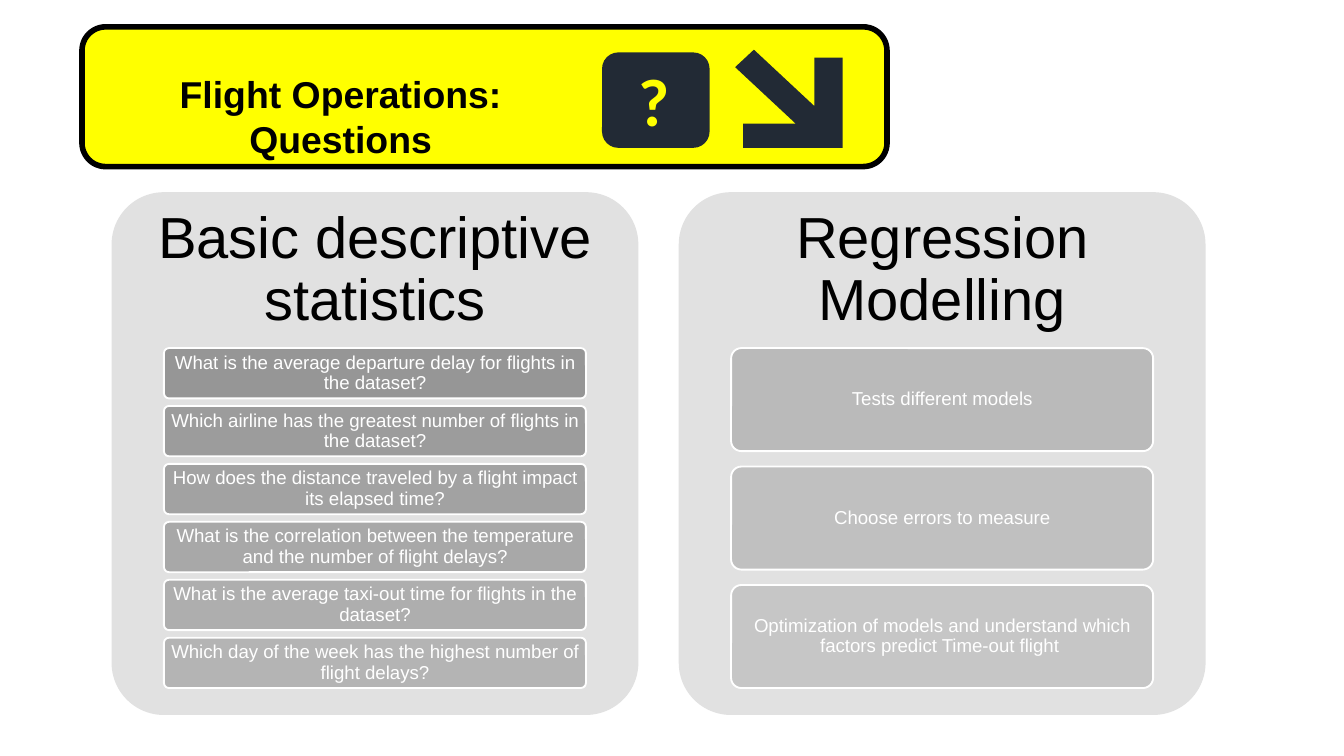
from dataclasses import dataclass

import pptx
import pptx.dml.color
import pptx.enum.shapes
import pptx.enum.text
import pptx.util
from pptx.util import Inches

COLORS = {
    "banner": "FFFF00",
    "ink": "000000",
    "icon": "222A35",
    "panel": "E1E1E1",
    "white": "FFFFFF",
}
FIRST_CARD_GRAY = 0x96
CARD_GRAY_STEP = 6

PANEL_TOP, PANEL_WIDTH, PANEL_HEIGHT = 1.43, 3.92, 3.89
HEADING_HEIGHT = 1.17
CARD_INDENT, CARD_WIDTH = 0.39, 3.14
CARDS_TOP, CARDS_HEIGHT = 2.59, 2.53
GAP_RATIO = 0.15  # gap between cards, as a share of the card height

ARROW_POINTS = [
    (5.61, 0.37), (5.47, 0.5), (5.92, 0.92), (5.53, 0.92), (5.53, 1.1),
    (6.27, 1.1), (6.27, 0.43), (6.06, 0.43), (6.06, 0.79),
]


@dataclass
class Box:
    left: float
    top: float
    width: float
    height: float

    def lengths(self):
        return [Inches(v) for v in (self.left, self.top, self.width, self.height)]


@dataclass
class Panel:
    left: float
    heading: str
    cards: list[str]


PANELS = [
    Panel(0.83, "Basic descriptive statistics", [
        "What is the average departure delay for flights in the dataset?",
        "Which airline has the greatest number of flights in the dataset?",
        "How does the distance traveled by a flight impact its elapsed time?",
        "What is the correlation between the temperature and the number of flight delays?",
        "What is the average taxi-out time for flights in the dataset?",
        "Which day of the week has the highest number of flight delays?",
    ]),
    Panel(5.05, "Regression Modelling", [
        "Tests different models",
        "Choose errors to measure",
        "Optimization of models and understand which factors predict Time-out flight ",
    ]),
]


def rgb(color: str) -> pptx.dml.color.RGBColor:
    return pptx.dml.color.RGBColor.from_string(color)


def paint(shape, fill: str, line: str | None = None, line_width: float = 1) -> None:
    shape.shadow.inherit = False
    shape.fill.solid()
    shape.fill.fore_color.rgb = rgb(fill)
    if line is None:
        shape.line.fill.background()
    else:
        shape.line.color.rgb = rgb(line)
        shape.line.width = pptx.util.Pt(line_width)


def add_round_box(slide, box: Box, fill: str, line: str | None = None,
                  line_width: float = 1, corner: float = 0.1):
    shape = slide.shapes.add_shape(
        pptx.enum.shapes.MSO_SHAPE.ROUNDED_RECTANGLE, *box.lengths())
    shape.adjustments[0] = corner
    paint(shape, fill, line, line_width)
    return shape


def write(shape, text: str, size: float, color: str, *, font: str = "Arial",
          bold: bool = False, spacing: float = 1.0,
          insets: tuple[float, float] = (0.1, 0.05),
          anchor=pptx.enum.text.MSO_ANCHOR.MIDDLE,
          alignment=pptx.enum.text.PP_ALIGN.CENTER) -> None:
    """Fill a shape with one paragraph; insets are (sides, top and bottom)."""
    frame = shape.text_frame
    frame.text = text
    frame.word_wrap = True
    frame.auto_size = pptx.enum.text.MSO_AUTO_SIZE.NONE
    frame.vertical_anchor = anchor
    frame.margin_left = frame.margin_right = Inches(insets[0])
    frame.margin_top = frame.margin_bottom = Inches(insets[1])
    paragraph = frame.paragraphs[0]
    paragraph.alignment = alignment
    paragraph.line_spacing = spacing
    paragraph.space_before = pptx.util.Pt(0)
    run_font = paragraph.runs[0].font
    run_font.name, run_font.size, run_font.bold = font, pptx.util.Pt(size), bold
    run_font.color.rgb = rgb(color)


def add_panel(slide, panel: Panel, first_gray: int) -> None:
    add_round_box(slide, Box(panel.left, PANEL_TOP, PANEL_WIDTH, PANEL_HEIGHT),
                  COLORS["panel"])
    heading_box = Box(panel.left, PANEL_TOP, PANEL_WIDTH, HEADING_HEIGHT)
    heading = slide.shapes.add_textbox(*heading_box.lengths())
    write(heading, panel.heading, 31, COLORS["ink"], spacing=0.9, insets=(0.13, 0.13))

    count = len(panel.cards)
    height = CARDS_HEIGHT / (count + (count - 1) * GAP_RATIO)
    for index, card_text in enumerate(panel.cards):
        top = CARDS_TOP + index * height * (1 + GAP_RATIO)
        gray = f"{first_gray + index * CARD_GRAY_STEP:02X}" * 3
        card = add_round_box(
            slide, Box(panel.left + CARD_INDENT, top, CARD_WIDTH, height),
            gray, COLORS["white"])
        write(card, card_text, 10, COLORS["white"], spacing=0.9, insets=(0.03, 0.02))


def add_arrow(slide) -> None:
    start, *rest = [(Inches(x), Inches(y)) for x, y in ARROW_POINTS]
    builder = slide.shapes.build_freeform(*start)
    builder.add_line_segments(rest, close=True)
    paint(builder.convert_to_shape(), COLORS["icon"])


def add_banner(slide) -> None:
    add_round_box(slide, Box(0.61, 0.2, 5.99, 1.04), COLORS["banner"],
                  COLORS["ink"], 3, corner=0.17)
    add_arrow(slide)
    title = slide.shapes.title
    title.left, title.top, title.width, title.height = Box(0.54, 0.48, 3.99, 0.44).lengths()
    write(title, "Flight Operations: Questions", 20, COLORS["ink"], bold=True,
          anchor=pptx.enum.text.MSO_ANCHOR.TOP)
    # The placeholder comes first in the tree; bring it in front of the banner.
    slide.shapes.element.append(title.element)
    add_round_box(slide, Box(4.48, 0.39, 0.8, 0.71), COLORS["icon"], corner=0.17)
    question_mark = slide.shapes.add_textbox(*Box(4.65, 0.39, 0.57, 0.71).lengths())
    write(question_mark, "?", 36, COLORS["banner"], font="Calibri", bold=True,
          anchor=pptx.enum.text.MSO_ANCHOR.TOP,
          alignment=pptx.enum.text.PP_ALIGN.LEFT)


def main() -> None:
    presentation = pptx.Presentation()
    presentation.slide_width = Inches(10)
    presentation.slide_height = Inches(10 * 9 / 16)
    slide = presentation.slides.add_slide(
        presentation.slide_layouts.get_by_name("Title Only"))
    gray = FIRST_CARD_GRAY
    for panel in PANELS:
        add_panel(slide, panel, gray)
        gray += len(panel.cards) * CARD_GRAY_STEP
    add_banner(slide)
    presentation.save("out.pptx")


if __name__ == "__main__":
    main()
